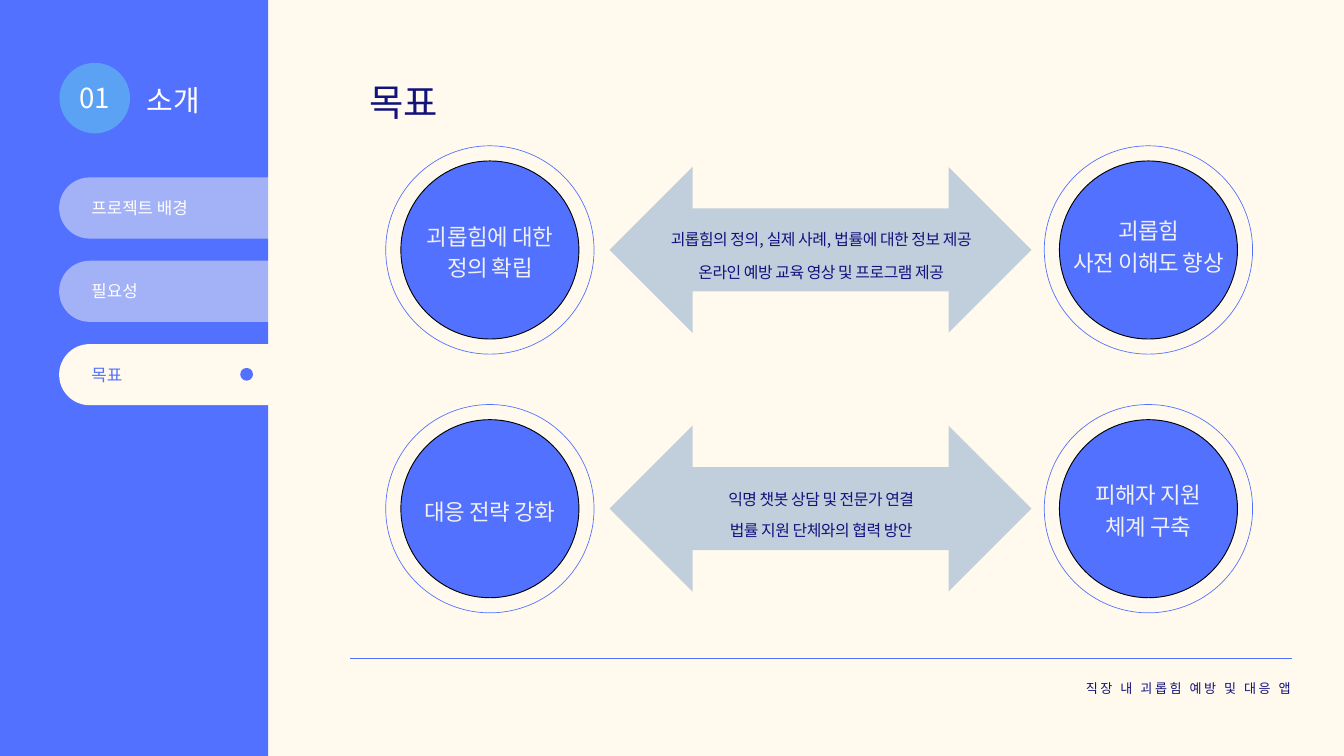
import pptx
import pptx.dml.color
import pptx.enum.shapes
import pptx.enum.text
import pptx.oxml.ns
import pptx.util
from lxml import etree

Inches = pptx.util.Inches
Pt = pptx.util.Pt
RGBColor = pptx.dml.color.RGBColor
SHAPE = pptx.enum.shapes.MSO_SHAPE
ALIGN = pptx.enum.text.PP_ALIGN
qn = pptx.oxml.ns.qn

CREAM = RGBColor(0xFF, 0xFA, 0xED)
BLUE = RGBColor(0x52, 0x71, 0xFF)
TAB_BLUE = RGBColor(0x53, 0x71, 0xFF)
SKY = RGBColor(0x5B, 0xA1, 0xF4)
STEEL = RGBColor(0x4F, 0x81, 0xBD)
NAVY = RGBColor(0x12, 0x12, 0x7D)
WHITE = RGBColor(0xFF, 0xFF, 0xFF)
PALE = RGBColor(0xF0, 0xF0, 0xF0)
BLACK = RGBColor(0, 0, 0)


class Deck:
    font = "Noto Sans CJK KR"

    def __init__(self, prs):
        self.s = prs.slides.add_slide(prs.slide_layouts[6])
        self.s.background.fill.solid()
        self.s.background.fill.fore_color.rgb = CREAM

    def shape(self, kind, x, y, w, h, fill=None, line=None, width=0.75, alpha=None):
        sp = self.s.shapes.add_shape(kind, Inches(x), Inches(y), Inches(w), Inches(h))
        sp.shadow.inherit = False
        if fill is None:
            sp.fill.background()
        else:
            sp.fill.solid()
            sp.fill.fore_color.rgb = fill
        if alpha is not None:
            clr = sp.fill._xPr.find(".//" + qn("a:srgbClr"))
            etree.SubElement(clr, qn("a:alpha")).set("val", str(alpha * 1000))
        if line is None:
            sp.line.fill.background()
        else:
            sp.line.color.rgb = line
            sp.line.width = Pt(width)
        return sp

    def circle(self, cx, cy, d, **style):
        return self.shape(SHAPE.OVAL, cx - d / 2, cy - d / 2, d, d, **style)

    def rule(self, x1, x2, y):
        cn = self.s.shapes.add_connector(
            pptx.enum.shapes.MSO_CONNECTOR.STRAIGHT,
            Inches(x1), Inches(y), Inches(x2), Inches(y))
        cn.line.color.rgb = BLUE
        cn.line.width = Pt(0.75)
        etree.SubElement(cn._element.spPr, qn("a:effectLst"))

    def text(self, x, y, w, h, lines, size, color, leading, align=ALIGN.LEFT, spc=0):
        tf = self.s.shapes.add_textbox(Inches(x), Inches(y), Inches(w), Inches(h)).text_frame
        tf.word_wrap = True
        tf.margin_left = tf.margin_right = tf.margin_top = tf.margin_bottom = 0
        for i, line in enumerate(lines):
            p = tf.add_paragraph() if i else tf.paragraphs[0]
            p.alignment = align
            p.line_spacing = Pt(leading)
            r = p.add_run()
            r.text = line
            r.font.size = Pt(size)
            r.font.color.rgb = color
            r.font.name = self.font
            rPr = r.font._element
            etree.SubElement(rPr, qn("a:ea")).set("typeface", self.font)
            if spc:
                rPr.set("spc", str(round(spc * 100)))


def main():
    prs = pptx.Presentation()
    prs.slide_width, prs.slide_height = Inches(20), Inches(11.25)
    deck = Deck(prs)

    # Sidebar with section number and name
    deck.shape(SHAPE.RECTANGLE, 0, 0, 3.99, 11.25, fill=BLUE)
    deck.circle(1.41, 1.46, 1.05, fill=SKY)
    deck.text(1.1, 1.21, 0.62, 0.5, ["01"], 29.6, WHITE, 35.6, ALIGN.CENTER)
    deck.text(2.18, 1.14, 0.91, 0.59, ["소개"], 31, WHITE, 43.4)

    # Navigation tabs, the last one active
    for i, (label, active) in enumerate(
            [("프로젝트 배경", False), ("필요성", False), ("목표", True)]):
        y = 2.64 + 1.24 * i
        tab = deck.shape(SHAPE.ROUNDED_RECTANGLE, 0.88, y, 3.56, 0.91,
                         fill=CREAM, alpha=None if active else 47)
        tab.adjustments[0] = 0.5
        deck.text(1.36, y + 0.3, 2.55, 0.3, [label], 18,
                  TAB_BLUE if active else WHITE, 21.6)
        if active:
            deck.circle(3.67, y + 0.45, 0.19, fill=BLUE)

    # Title
    deck.text(5.5, 1.18, 8.99, 0.67, ["목표"], 40, NAVY, 48)

    # Goal rows: centre, then (text top, lines) for left goal, right goal, actions
    rows = [
        (3.72, (3.25, ["괴롭힘에 대한", "정의 확립"]),
         (3.17, ["괴롭힘", "사전 이해도 향상"]),
         [(3.23, "괴롭힘의 정의, 실제 사례, 법률에 대한 정보 제공"),
          (3.73, "온라인 예방 교육 영상 및 프로그램 제공")]),
        (7.57, (7.34, ["대응 전략 강화"]),
         (7.1, ["피해자 지원", "체계 구축"]),
         [(7.11, "익명 챗봇 상담 및 전문가 연결"),
          (7.57, "법률 지원 단체와의 협력 방안")]),
    ]
    for cy, left, right, actions in rows:
        for cx, (top, lines) in ((7.29, left), (17.09, right)):
            deck.circle(cx, cy, 3.1, line=BLUE)
            deck.circle(cx, cy, 2.65, fill=BLUE, line=BLACK, width=1)
            deck.text(cx - 1.26, top, 2.52, 0.47 * len(lines), lines, 24, PALE,
                      33.6, ALIGN.CENTER, -0.5)
        deck.shape(SHAPE.LEFT_RIGHT_ARROW, 9.07, cy - 1.235, 6.28, 2.47,
                   fill=STEEL, alpha=35)
        for top, action in actions:
            deck.text(9.68, top, 5.08, 0.47, [action], 17, NAVY, 33.6,
                      ALIGN.CENTER, -0.5)

    # Footer
    deck.rule(5.21, 19.23, 9.8)
    deck.text(15.84, 10.12, 3.37, 0.24, ["직장 내 괴롭힘 예방 및 대응 앱"], 14, NAVY,
              16.8, ALIGN.RIGHT, 2.7)

    prs.save("out.pptx")


if __name__ == "__main__":
    main()
